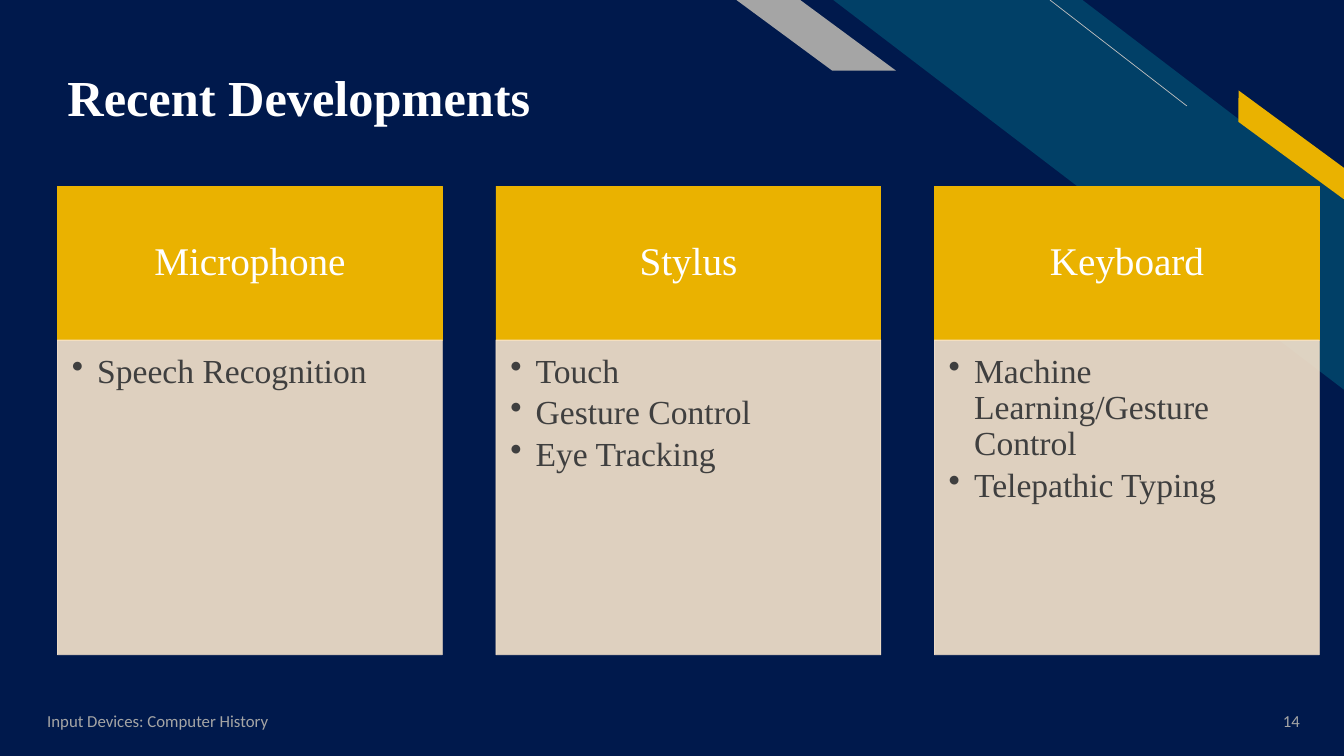
import lxml.etree
import pptx
import pptx.dml.color
import pptx.enum.shapes
import pptx.enum.text
import pptx.oxml.ns
import pptx.util

Cm, Pt = pptx.util.Cm, pptx.util.Pt
Shape = pptx.enum.shapes.MSO_SHAPE
Align = pptx.enum.text.PP_ALIGN
Anchor = pptx.enum.text.MSO_ANCHOR
qn = pptx.oxml.ns.qn


def color(code):
    return pptx.dml.color.RGBColor.from_string(code)


def write(frame, text, font="Times New Roman", size=24, fill="FFFFFF", bold=False,
          align=Align.LEFT, anchor=Anchor.MIDDLE, pad=(0.25, 0.13, 0.25, 0.13),
          line=None, after=None, bullet=None):
    """Fill a text frame, one paragraph per line of text; pad and lengths in cm."""
    frame.word_wrap = True
    frame.vertical_anchor = anchor
    (frame.margin_left, frame.margin_top,
     frame.margin_right, frame.margin_bottom) = map(Cm, pad)
    for i, words in enumerate(text.split("\n")):
        para = frame.add_paragraph() if i else frame.paragraphs[0]
        if bullet:
            props = para._p.get_or_add_pPr()
            props.set("marL", str(Cm(0.64)))
            props.set("indent", str(-Cm(0.64)))
            lxml.etree.SubElement(props, qn("a:buChar")).set("char", bullet)
        para.alignment = align
        para.line_spacing = line
        if after:
            para.space_after = Pt(after)
        run = para.add_run()
        run.text = words
        run.font.name, run.font.size, run.font.bold = font, Pt(size), bold
        run.font.color.rgb = color(fill)


class Deck:
    navy, teal, gold = "00194C", "014067", "EAB200"
    gray, pale, sand, ink = "A5A5A5", "BFBFBF", "F7E4CC", "3F3F3F"

    def __init__(self):
        self.show = pptx.Presentation()
        self.show.slide_width, self.show.slide_height = Cm(33.87), Cm(19.05)
        self.slide = self.show.slides.add_slide(self.show.slide_layouts[6])
        self.slide.background.fill.solid()
        self.slide.background.fill.fore_color.rgb = color(self.navy)

    def shape(self, kind, box, fill, edge=False, alpha=None, adj=None, flip=False, turn=0):
        item = self.slide.shapes.add_shape(kind, *map(Cm, box))
        item.shadow.inherit = False
        item.fill.solid()
        item.fill.fore_color.rgb = color(fill)
        if edge:
            item.line.color.rgb = color(fill)
            item.line.width = Pt(0.5)
        else:
            item.line.fill.background()
        if alpha:
            for tint in item._element.spPr.iter(qn("a:srgbClr")):
                lxml.etree.SubElement(tint, qn("a:alpha")).set("val", str(alpha * 1000))
        if adj:
            item.adjustments[0] = adj
        if flip:
            item._element.spPr.find(qn("a:xfrm")).set("flipH", "1")
        item.rotation = turn
        return item

    def line(self, start, end, fill):
        item = self.slide.shapes.add_connector(
            pptx.enum.shapes.MSO_CONNECTOR.STRAIGHT, *map(Cm, start + end))
        item.line.color.rgb = color(fill)
        item.line.width = Pt(0.5)
        lxml.etree.SubElement(item._element.spPr, qn("a:effectLst"))

    def text(self, box, text, **style):
        item = self.slide.shapes.add_textbox(*map(Cm, box))
        write(item.text_frame, text, **style)

    def card(self, left, head, items):
        wide = 9.7
        top = self.shape(Shape.RECTANGLE, (left, 4.69, wide, 3.88), self.gold, edge=True)
        write(top.text_frame, head, size=28, align=Align.CENTER, line=0.9,
              pad=(0.55, 0.31, 0.55, 0.31))
        body = self.shape(Shape.RECTANGLE, (left, 8.57, wide, 7.93), self.sand,
                          edge=True, alpha=90)
        write(body.text_frame, "\n".join(items), fill=self.ink, anchor=Anchor.TOP,
              pad=(0.36, 0.36, 0.48, 0.53), line=0.9, after=3.6, bullet="•")


def main():
    deck = Deck()

    # Corner stripes
    deck.shape(Shape.DIAGONAL_STRIPE, (21, 0, 12.87, 9.82), deck.teal, adj=0.512, flip=True)
    deck.line((29.91, 2.67), (26.46, 0), deck.pale)
    deck.shape(Shape.PARALLELOGRAM, (30.66, 3.33, 3.76, 0.64), deck.gold,
               adj=0.72, flip=True, turn=36.3)
    deck.shape(Shape.PARALLELOGRAM, (18.56, 0, 4.02, 1.78), deck.gray, adj=1.356, flip=True)

    # Footer and title
    small = dict(font="Calibri", size=12, fill=deck.gray)
    deck.text((0.94, 17.66, 11.43, 1.01), "Input Devices: Computer History", **small)
    deck.text((30.96, 17.66, 2.05, 1.01), "14", align=Align.RIGHT, **small)
    deck.text((1.45, 0.58, 23.14, 2.64), "Recent Developments", size=36, bold=True,
              anchor=Anchor.BOTTOM, pad=(0.25, 0.13, 0.25, 0), line=0.9)

    # Cards
    cards = {
        "Microphone": ["Speech Recognition"],
        "Stylus": ["Touch", "Gesture Control", "Eye Tracking"],
        "Keyboard": ["Machine Learning/Gesture Control", "Telepathic Typing"],
    }
    for i, (head, items) in enumerate(cards.items()):
        deck.card(1.45 + i * 11.05, head, items)

    deck.show.save("out.pptx")


if __name__ == "__main__":
    main()
